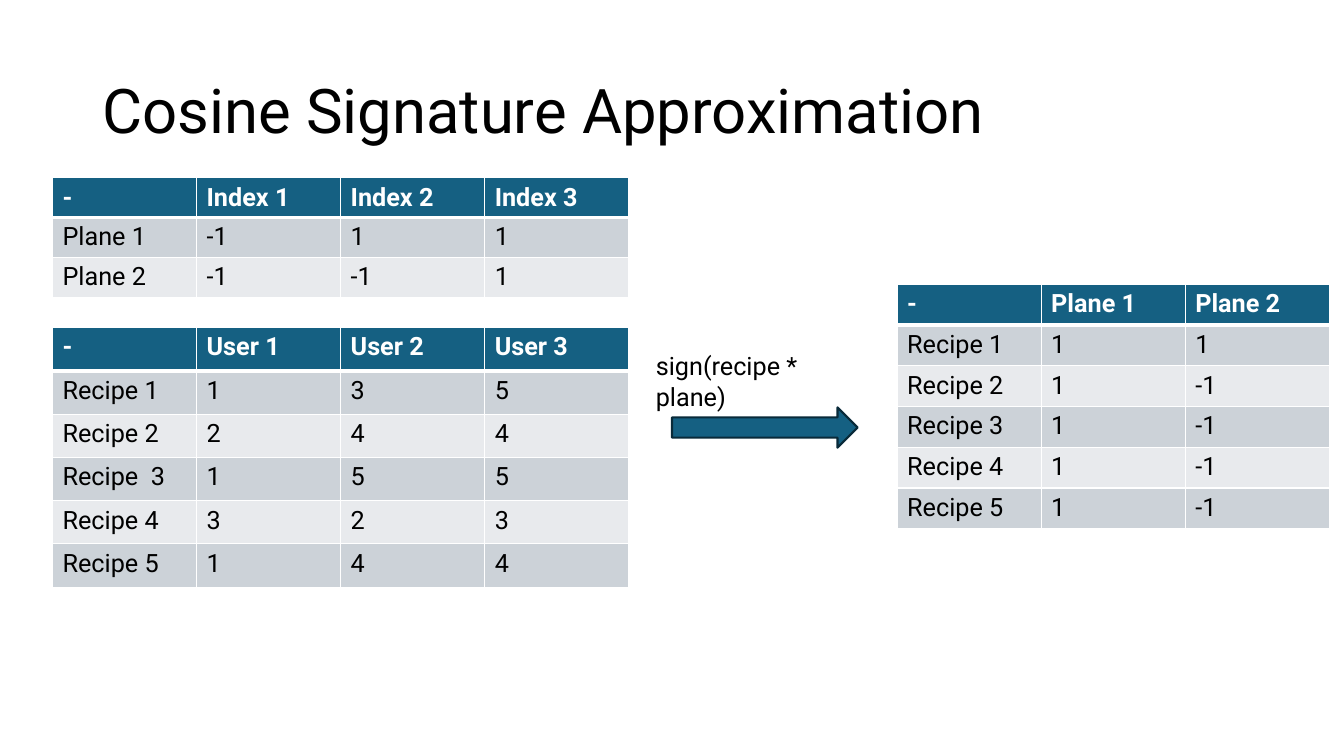
from dataclasses import dataclass

from lxml import etree
from pptx import Presentation, util as u
from pptx.dml.color import RGBColor
from pptx.enum import shapes, text
from pptx.oxml import ns


@dataclass(frozen=True)
class Theme:
    font: str = "Roboto"
    title_size: int = 44
    body_size: int = 18
    ink: str = "000000"
    paper: str = "FFFFFF"
    accent: str = "156082"
    outline: str = "092A39"
    bands: tuple = ("CCD2D8", "E8EAED")
    rule: float = 1
    header_rule: float = 3


def write(frame, content, *, font, size, color, bold=False, spacing=None):
    paragraph = frame.paragraphs[0]
    paragraph.alignment = text.PP_ALIGN.LEFT
    if spacing:
        paragraph.line_spacing = spacing
    run = paragraph.add_run()
    run.text = content
    run.font.name = font
    run.font.size = u.Pt(size)
    run.font.bold = bold
    run.font.color.rgb = RGBColor.from_string(color)


def set_borders(cell, color, **widths):
    """Draw cell borders; widths are points keyed by side, in schema order."""
    properties = cell._tc.get_or_add_tcPr()
    for position, (side, width) in enumerate(widths.items()):
        line = etree.Element(ns.qn(f"a:ln{side}"), w=str(u.Pt(width)))
        fill = etree.SubElement(line, ns.qn("a:solidFill"))
        etree.SubElement(fill, ns.qn("a:srgbClr"), val=color)
        properties.insert(position, line)


class SlideBuilder:
    """Places styled elements on a grid of 32 columns by 18 rows."""

    COLUMNS, ROWS = 32, 18

    def __init__(self, presentation, theme):
        self.theme = theme
        self.column = presentation.slide_width / self.COLUMNS
        self.row = presentation.slide_height / self.ROWS
        self.slide = presentation.slides.add_slide(presentation.slide_layouts[5])

    def box(self, left, top, width, height):
        return (round(left * self.column), round(top * self.row),
                round(width * self.column), round(height * self.row))

    def title(self, content, *place):
        shape = self.slide.shapes.title
        shape.left, shape.top, shape.width, shape.height = self.box(*place)
        shape.text_frame.vertical_anchor = text.MSO_ANCHOR.MIDDLE
        write(shape.text_frame, content, font=self.theme.font,
              size=self.theme.title_size, color=self.theme.ink, spacing=0.9)

    def label(self, content, *place):
        frame = self.slide.shapes.add_textbox(*self.box(*place)).text_frame
        frame.word_wrap = True
        write(frame, content, font=self.theme.font,
              size=self.theme.body_size, color=self.theme.ink)

    def arrow(self, *place):
        shape = self.slide.shapes.add_shape(
            shapes.MSO_SHAPE.RIGHT_ARROW, *self.box(*place))
        shape.shadow.inherit = False
        shape.fill.solid()
        shape.fill.fore_color.rgb = RGBColor.from_string(self.theme.accent)
        shape.line.color.rgb = RGBColor.from_string(self.theme.outline)
        shape.line.width = u.Pt(1.5)

    def table(self, records, left, top, column_width, row_height):
        row_count, column_count = len(records), len(records[0])
        place = self.box(left, top, column_width * column_count,
                         row_height * row_count)
        table = self.slide.shapes.add_table(row_count, column_count, *place).table
        for row_index, record in enumerate(records):
            for column_index, value in enumerate(record):
                self.table_cell(table.cell(row_index, column_index),
                                str(value), row_index)

    def table_cell(self, cell, value, row_index):
        theme = self.theme
        header = row_index == 0
        set_borders(cell, theme.paper, L=theme.rule, R=theme.rule,
                    T=theme.header_rule if row_index == 1 else theme.rule,
                    B=theme.header_rule if header else theme.rule)
        fill = theme.accent if header else theme.bands[(row_index - 1) % 2]
        cell.fill.solid()
        cell.fill.fore_color.rgb = RGBColor.from_string(fill)
        write(cell.text_frame, value, font=theme.font, size=theme.body_size,
              color=theme.paper if header else theme.ink, bold=header)


RATINGS = [
    ("-", "User 1", "User 2", "User 3"),
    ("Recipe 1", 1, 3, 5),
    ("Recipe 2", 2, 4, 4),
    ("Recipe  3", 1, 5, 5),
    ("Recipe 4", 3, 2, 3),
    ("Recipe 5", 1, 4, 4),
]
PLANES = [
    ("-", "Index 1", "Index 2", "Index 3"),
    ("Plane 1", -1, 1, 1),
    ("Plane 2", -1, -1, 1),
]
SIGNATURES = [
    ("-", "Plane 1", "Plane 2"),
    ("Recipe 1", 1, 1),
    ("Recipe 2", 1, -1),
    ("Recipe 3", 1, -1),
    ("Recipe 4", 1, -1),
    ("Recipe 5", 1, -1),
]


def main():
    presentation = Presentation()
    presentation.slide_width = u.Inches(13.33)
    presentation.slide_height = u.Inches(7.5)
    builder = SlideBuilder(presentation, Theme())
    column_width = 3.43

    # Title
    builder.title("Cosine Signature Approximation", 2.2, 0.96, 27.6, 3.48)

    # Input tables
    builder.table(RATINGS, 1.25, 7.8, column_width, 1.03)
    builder.table(PLANES, 1.25, 4.23, column_width, 0.95)

    # Resulting signatures
    builder.table(SIGNATURES, 21.36, 6.77, column_width, 0.97)

    # Transformation step
    builder.label("sign(recipe * plane)", 15.38, 8.23, 5.54, 0.96)
    builder.arrow(16, 9.7, 4.42, 0.96)

    presentation.save("out.pptx")


if __name__ == "__main__":
    main()
